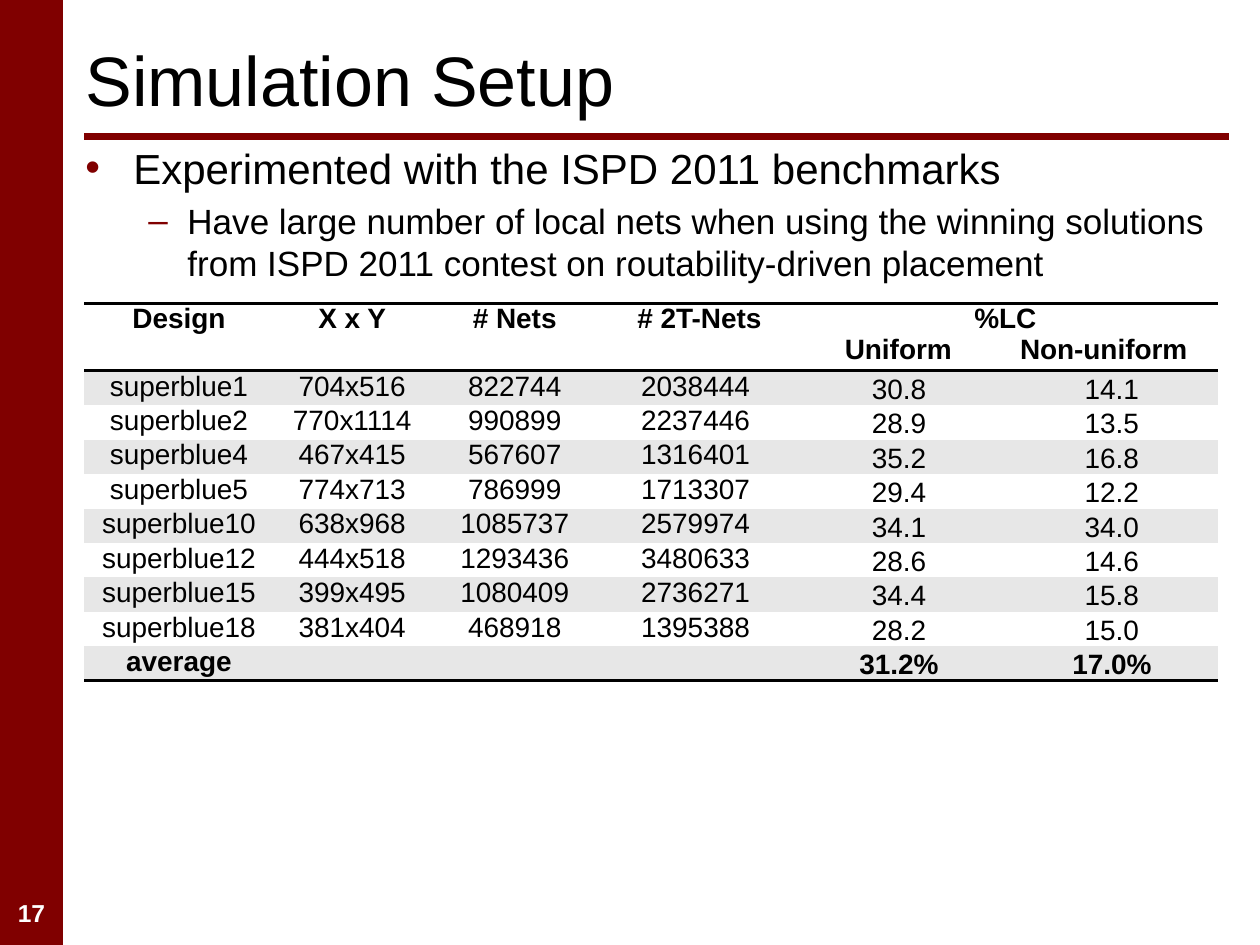
from dataclasses import dataclass

from lxml import etree
from pptx import Presentation
from pptx.dml.color import RGBColor
from pptx.enum import shapes, text
from pptx.oxml import ns
from pptx.util import Inches, Pt

MAROON, BLACK, WHITE, GRAY = "800000", "000000", "FFFFFF", "E7E7E7"
WIDTH, HEIGHT = 10, 7.5
LEFT, RIGHT = 0.67, 9.75
TEXT_LEFT, TEXT_WIDTH = 0.58, 9.17
RULE_Y = 1.08
TABLE_TOP, TABLE_WIDTH = 2.41, 9
HEADER_HEIGHT, BODY_HEIGHT = 0.49, 2.46
COLUMNS = (1.5, 1.25, 1.33, 1.54, 1.69, 1.69)
LC_COLUMN = 4
NO_STYLE = "{2D5ABB26-0587-4C30-8999-92F81FD0307C}"

HEADERS = ("Design", "X x Y", "# Nets", " # 2T-Nets")
ROWS = (
    ("superblue1", "704x516", "822744", "2038444", "30.8", "14.1"),
    ("superblue2", "770x1114", "990899", "2237446", "28.9", "13.5"),
    ("superblue4", "467x415", "567607", "1316401", "35.2", "16.8"),
    ("superblue5", "774x713", "786999", "1713307", "29.4", "12.2"),
    ("superblue10", "638x968", "1085737", "2579974", "34.1", "34.0"),
    ("superblue12", "444x518", "1293436", "3480633", "28.6", "14.6"),
    ("superblue15", "399x495", "1080409", "2736271", "34.4", "15.8"),
    ("superblue18", "381x404", "468918", "1395388", "28.2", "15.0"),
    ("average", "", "", "", "31.2%", "17.0%"),
)


@dataclass
class Bullet:
    words: str
    mark: str
    level: int
    size: int
    indent: float
    hanging: float


BULLETS = (
    Bullet("Experimented with the ISPD 2011 benchmarks", "•", 0, 24, 0.38, 0.38),
    Bullet(
        "Have large number of local nets when using the winning solutions "
        "from ISPD 2011 contest on routability-driven placement",
        "–", 1, 20, 0.81, 0.31,
    ),
)


def color(value: str) -> RGBColor:
    return RGBColor.from_string(value)


def child(parent, tag: str, **attributes: str):
    return etree.SubElement(parent, ns.qn(tag), attributes)


def add_span(para, words: str, size: int, bold: bool = False, ink: str = BLACK) -> None:
    span = para.add_run()
    span.text = words
    span.font.name = "Arial"
    span.font.size = Pt(size)
    span.font.bold = bold
    span.font.color.rgb = color(ink)


def add_box(page, left: float, top: float, width: float, height: float):
    box = page.shapes.add_textbox(Inches(left), Inches(top), Inches(width), Inches(height))
    box.text_frame.word_wrap = True
    return box.text_frame


def add_frame(page) -> None:
    sidebar = page.shapes.add_shape(
        shapes.MSO_SHAPE.RECTANGLE, 0, 0, Inches(WIDTH * 0.05), Inches(HEIGHT)
    )
    sidebar.shadow.inherit = False
    sidebar.fill.solid()
    sidebar.fill.fore_color.rgb = color(MAROON)
    sidebar.line.fill.background()
    rule = page.shapes.add_connector(
        shapes.MSO_CONNECTOR.STRAIGHT,
        Inches(LEFT), Inches(RULE_Y), Inches(RIGHT), Inches(RULE_Y),
    )
    rule.line.color.rgb = color(MAROON)
    rule.line.width = Pt(4)
    child(rule._element.spPr, "a:effectLst")
    number = add_box(page, 0, 7.08, WIDTH * 0.05, 0.33).paragraphs[0]
    number.alignment = text.PP_ALIGN.CENTER
    add_span(number, "17", 14, True, WHITE)


def add_bullet(para, bullet: Bullet) -> None:
    para.level = bullet.level
    para.space_before = Pt(bullet.size * 0.2)
    properties = para._p.get_or_add_pPr()
    properties.set("marL", str(Inches(bullet.indent)))
    properties.set("indent", str(-Inches(bullet.hanging)))
    child(child(properties, "a:buClr"), "a:srgbClr", val=MAROON)
    child(properties, "a:buFont", typeface="Arial")
    child(properties, "a:buChar", char=bullet.mark)
    add_span(para, bullet.words, bullet.size)


def add_border(cell, tag: str) -> None:
    line = child(cell._tc.get_or_add_tcPr(), tag, w=str(Pt(2)))
    child(child(line, "a:solidFill"), "a:srgbClr", val=BLACK)


def style_cell(cell, fill: str, side: float, borders: tuple[str, ...] = ()) -> None:
    cell.margin_left = cell.margin_right = Inches(side)
    cell.margin_top = cell.margin_bottom = 0
    for tag in borders:
        add_border(cell, tag)
    cell.fill.solid()
    cell.fill.fore_color.rgb = color(fill)


def write_cell(para, words: str, bold: bool) -> None:
    para.alignment = text.PP_ALIGN.CENTER
    if words:
        add_span(para, words, 16, bold)
    else:
        child(para._p, "a:endParaRPr", sz="1600")


def add_header(table) -> None:
    for column in range(len(COLUMNS)):
        style_cell(table.cell(0, column), WHITE, 0.1, ("a:lnT", "a:lnB"))
    for column, words in enumerate(HEADERS):
        write_cell(table.cell(0, column).text_frame.paragraphs[0], words, True)
    group = table.cell(0, LC_COLUMN)
    group.merge(table.cell(0, LC_COLUMN + 1))
    write_cell(group.text_frame.paragraphs[0], "%LC", True)
    para = group.text_frame.add_paragraph()
    para.alignment = text.PP_ALIGN.LEFT
    tabs = child(para._p.get_or_add_pPr(), "a:tabLst")
    for stop in (0.74, 2.37):
        child(tabs, "a:tab", pos=str(Inches(stop)), algn="ctr")
    add_span(para, "\tUniform\tNon-uniform", 16, True)


def add_results(page) -> None:
    table = page.shapes.add_table(
        len(ROWS) + 1, len(COLUMNS), Inches(LEFT), Inches(TABLE_TOP),
        Inches(TABLE_WIDTH), Inches(HEADER_HEIGHT + BODY_HEIGHT),
    ).table
    table.first_row = table.horz_banding = False
    table._tbl.tblPr.find(ns.qn("a:tableStyleId")).text = NO_STYLE
    for column, width in zip(table.columns, COLUMNS):
        column.width = Inches(width)
    for index, row in enumerate(table.rows):
        row.height = Inches(BODY_HEIGHT / len(ROWS) if index else HEADER_HEIGHT)
    add_header(table)
    for index, values in enumerate(ROWS, 1):
        last = index == len(ROWS)
        for column, words in enumerate(values):
            cell = table.cell(index, column)
            measured = column >= LC_COLUMN
            style_cell(
                cell, GRAY if index % 2 else WHITE,
                0.01 if measured else 0.1, ("a:lnB",) if last else (),
            )
            if measured:
                cell.vertical_anchor = text.MSO_ANCHOR.BOTTOM
            write_cell(cell.text_frame.paragraphs[0], words, last)


def main() -> None:
    deck = Presentation()
    deck.slide_width, deck.slide_height = Inches(WIDTH), Inches(HEIGHT)
    page = deck.slides.add_slide(deck.slide_layouts[6])
    add_frame(page)
    title = add_box(page, TEXT_LEFT, 0.08, TEXT_WIDTH, 1.08)
    title.vertical_anchor = text.MSO_ANCHOR.MIDDLE
    add_span(title.paragraphs[0], "Simulation Setup", 40)
    body = add_box(page, TEXT_LEFT, RULE_Y, TEXT_WIDTH, 1.25)
    for index, bullet in enumerate(BULLETS):
        add_bullet(body.add_paragraph() if index else body.paragraphs[0], bullet)
    add_results(page)
    deck.save("out.pptx")


if __name__ == "__main__":
    main()
